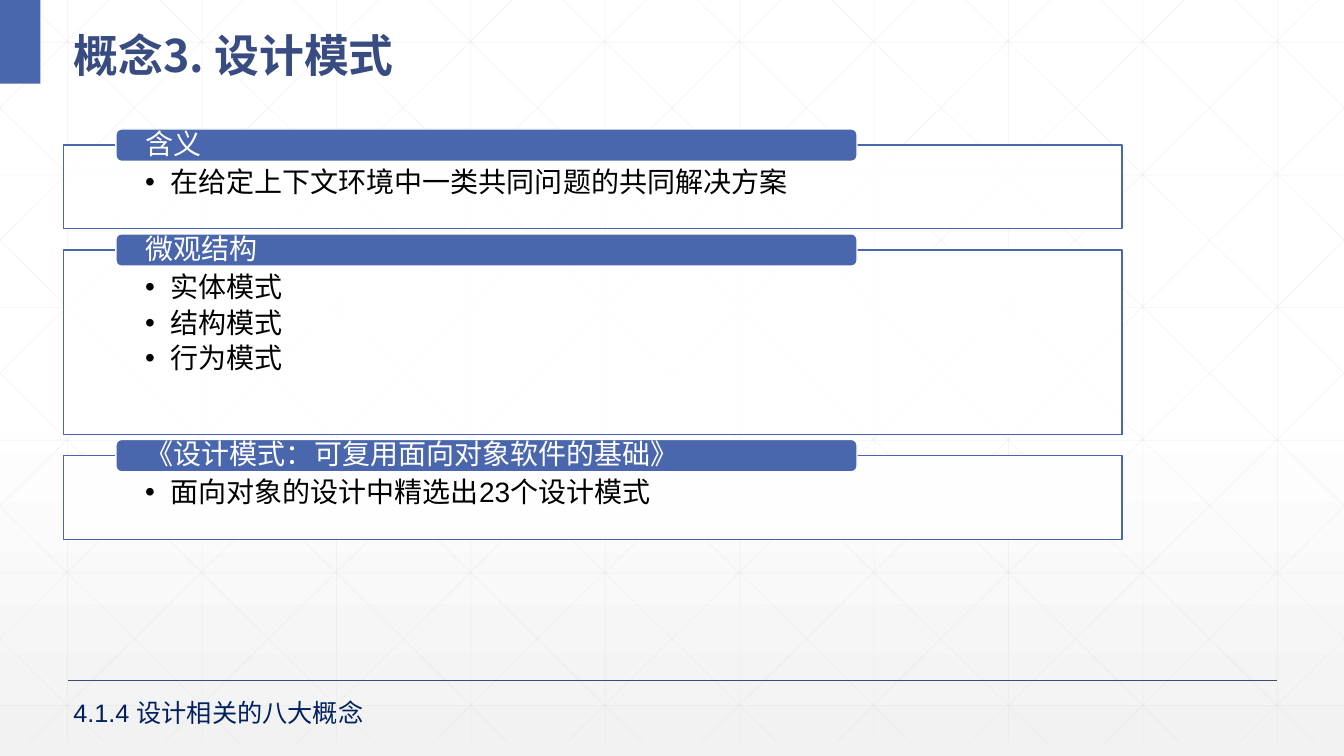
"""Builds the slide on design patterns: three titled panels over a faint grid."""
from pptx import Presentation
from pptx import util as u
from pptx.dml import color
from pptx.enum import shapes, text
from pptx.oxml import ns, xmlchemy

WIDTH, HEIGHT = 13.33, 7.5
GRID_BOTTOM = 7.37
STEP_X, STEP_Y = 4 / 3, 1.316
DIAGONAL_RUN = 7.46
PANELS = [
    ("含义", 0.83, ["在给定上下文环境中一类共同问题的共同解决方案"]),
    ("微观结构", 1.83, ["实体模式", "结构模式", "行为模式"]),
    ("《设计模式：可复用面向对象软件的基础》", 0.83,
     ["面向对象的设计中精选出23个设计模式"]),
]


def rgb(value):
    return color.RGBColor.from_string(value)


def add_element(parent, tag, **attributes):
    element = xmlchemy.OxmlElement(tag)
    for key, value in attributes.items():
        element.set(key, value)
    parent.append(element)
    return element


def set_opacity(element, percent):
    for node in element.iter(ns.qn("a:srgbClr")):
        add_element(node, "a:alpha", val=str(percent * 1000))


class SlideBuilder:
    blue, navy, dark = "4A66AC", "384C81", "002060"
    white, black, grid = "FFFFFF", "000000", "D9D9D9"
    body_font, title_font = "Arial", "Noto Sans CJK SC"

    def __init__(self, page):
        self.page = page

    def background(self):
        fill = self.page.background.fill
        fill.gradient()
        fill.gradient_angle = 270
        start, end = fill.gradient_stops
        start.position, start.color.rgb = 0.53, rgb(self.white)
        end.position, end.color.rgb = 1, rgb("F2F2F2")

    def line(self, x1, y1, x2, y2, hue, width, opacity=100):
        line = self.page.shapes.add_connector(
            shapes.MSO_CONNECTOR.STRAIGHT,
            *[u.Inches(value) for value in (x1, y1, x2, y2)])
        line.line.color.rgb = rgb(hue)
        line.line.width = u.Pt(width)
        properties = line._element.spPr
        if opacity < 100:
            set_opacity(properties, opacity)
        add_element(properties, "a:effectLst")

    def shape(self, kind, left, top, width, height, fill, outline=None):
        box = self.page.shapes.add_shape(
            kind, *[u.Inches(value) for value in (left, top, width, height)])
        box.shadow.inherit = False
        box.fill.solid()
        box.fill.fore_color.rgb = rgb(fill)
        if outline:
            box.line.color.rgb = rgb(outline)
            box.line.width = u.Pt(1)
        else:
            box.line.fill.background()
        return box

    def text_box(self, left, top, width, height):
        return self.page.shapes.add_textbox(
            *[u.Inches(value) for value in (left, top, width, height)])

    def frame(self, box, anchor, margins=(0.1, 0.05, 0.1, 0.05)):
        frame = box.text_frame
        frame.word_wrap = True
        frame.vertical_anchor = anchor
        (frame.margin_left, frame.margin_top,
         frame.margin_right, frame.margin_bottom) = map(u.Inches, margins)
        return frame

    def add_lines(self, frame, lines, size, hue, font=None, bold=False,
                  spacing=1.0, after=0, bullet=False):
        font = font or self.body_font
        for index, line in enumerate(lines):
            para = frame.add_paragraph() if index else frame.paragraphs[0]
            para.alignment = text.PP_ALIGN.LEFT
            para.line_spacing = spacing
            para.space_after = u.Pt(after)
            if bullet:
                properties = para._p.get_or_add_pPr()
                properties.set("marL", str(u.Inches(0.25)))
                properties.set("indent", str(u.Inches(-0.25)))
                add_element(properties, "a:buFont", typeface="Arial")
                add_element(properties, "a:buChar", char="•")
            span = para.add_run()
            span.text = line
            span.font.size = u.Pt(size)
            span.font.bold = bold
            span.font.color.rgb = rgb(hue)
            span.font.name = font
            add_element(span._r.get_or_add_rPr(), "a:ea", typeface=font)

    def panel(self, heading, top, height, points):
        panel = self.shape(shapes.MSO_SHAPE.RECTANGLE, 0.63, top, 10.5, height,
                           self.white, self.blue)
        set_opacity(panel._element.spPr.find(ns.qn("a:solidFill")), 90)
        frame = self.frame(panel, text.MSO_ANCHOR.TOP, (0.81, 0.23, 0.81, 0.16))
        self.add_lines(frame, points, 20, self.black, spacing=0.9, after=4,
                       bullet=True)
        bar = self.shape(shapes.MSO_SHAPE.ROUNDED_RECTANGLE, 1.15, top - 0.16,
                         7.35, 0.32, self.blue, self.white)
        frame = self.frame(bar, text.MSO_ANCHOR.MIDDLE, (0.28, 0, 0.28, 0))
        self.add_lines(frame, [heading], 20, self.white, spacing=0.9)

    def grid_line(self, x1, y1, x2, y2):
        self.line(x1, y1, x2, y2, self.grid, 0.5, 25)

    def grid_lines(self):
        for column in range(10):
            x = 0.67 + column * STEP_X
            self.grid_line(x, 0, x, GRID_BOTTOM)
        for row in range(6):
            y = 0.42 + row * STEP_Y
            self.grid_line(0, y, WIDTH, y)
        slope = GRID_BOTTOM / DIAGONAL_RUN
        for step in range(-5, 10):
            start = 0.25 + step * STEP_X
            x1, x2 = max(start, 0), min(start + DIAGONAL_RUN, WIDTH)
            y1, y2 = (x1 - start) * slope, (x2 - start) * slope
            self.grid_line(x1, y1, x2, y2)
            self.grid_line(WIDTH - x1, y1, WIDTH - x2, y2)


def main():
    deck = Presentation()
    deck.slide_width, deck.slide_height = u.Inches(WIDTH), u.Inches(HEIGHT)
    slide = SlideBuilder(deck.slides.add_slide(deck.slide_layouts[6]))
    slide.background()
    slide.grid_lines()
    slide.line(0.67, 6.75, 12.67, 6.75, slide.navy, 1)
    slide.shape(shapes.MSO_SHAPE.RECTANGLE, 0, 0, 0.4, 0.83, slide.blue)

    title = slide.frame(slide.text_box(0.63, 0.1, 12.42, 0.73),
                        text.MSO_ANCHOR.MIDDLE)
    slide.add_lines(title, ["概念3. 设计模式"], 32, slide.navy,
                    font=slide.title_font, bold=True, spacing=1.3)

    top = 1.44
    for heading, height, points in PANELS:
        slide.panel(heading, top, height, points)
        top += height + 0.21

    footer = slide.frame(slide.text_box(0.63, 6.87, 3.78, 0.4),
                         text.MSO_ANCHOR.TOP)
    slide.add_lines(footer, ["4.1.4 设计相关的八大概念"], 18, slide.dark)
    deck.save("out.pptx")


if __name__ == "__main__":
    main()
